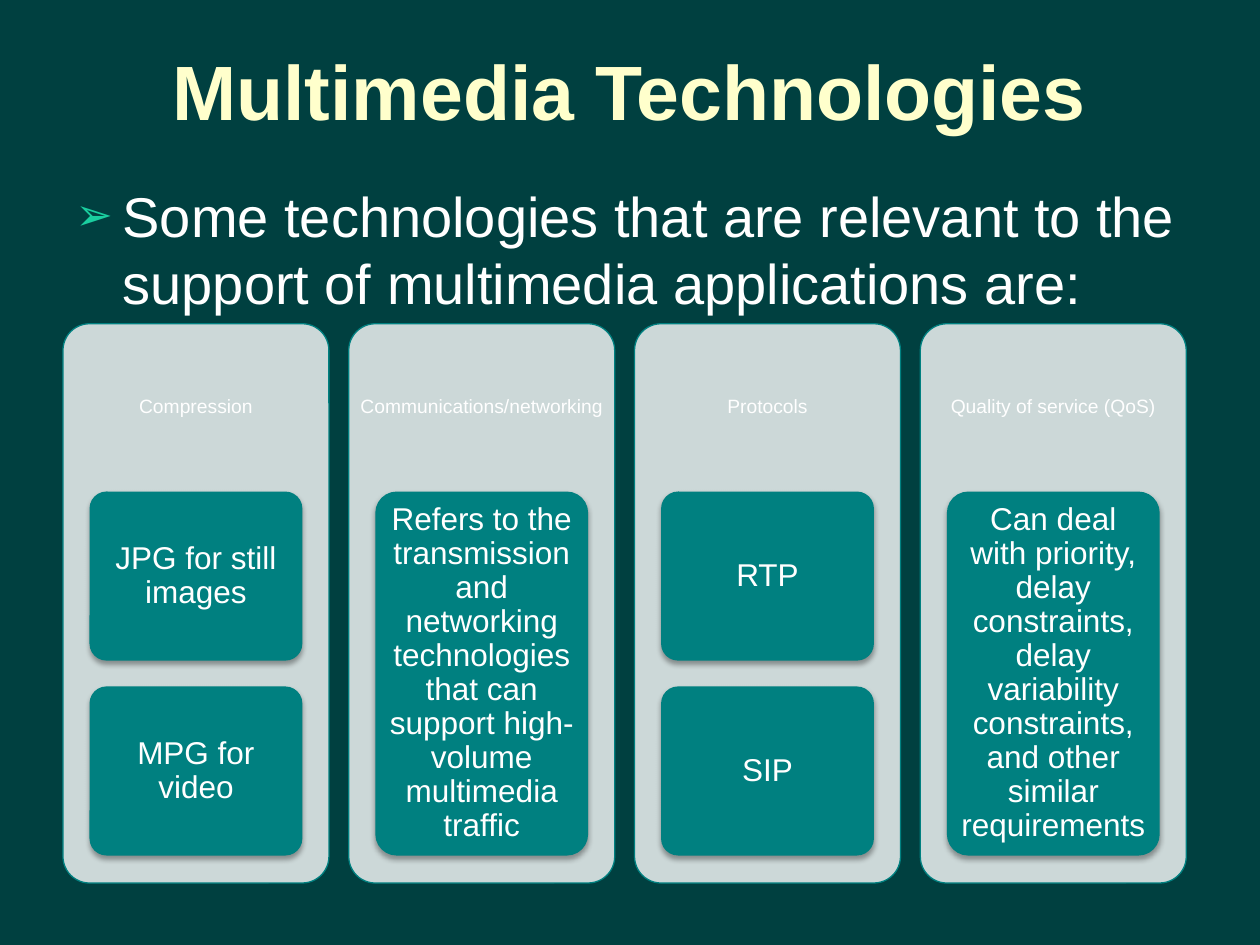
from dataclasses import dataclass

from lxml import etree
from pptx import Presentation
from pptx.dml.color import RGBColor
from pptx.enum.shapes import MSO_SHAPE
from pptx.enum.text import MSO_ANCHOR, PP_ALIGN
from pptx.oxml.ns import qn
from pptx.shapes.autoshape import Shape
from pptx.slide import Slide
from pptx.util import Pt

ROUND = MSO_SHAPE.ROUNDED_RECTANGLE
MIDDLE, TOP = MSO_ANCHOR.MIDDLE, MSO_ANCHOR.TOP
CENTER, LEFT = PP_ALIGN.CENTER, PP_ALIGN.LEFT
FONT = "Arial"
COLORS = {
    "back": "004040", "title": "FFFFCC", "text": "FFFFFF",
    "mark": "1ACE9F", "card": "CCD8D8", "teal": "008080", "shade": "000000",
}

# Column grid, in points
CARD_X, CARD_Y, CARD_W, CARD_H = 36, 185, 152, 319.6
STEP = 163.3
HEAD_H = 95.9
BOX_W, BOX_H = 121.6, 208
GAP = 14.8


@dataclass
class Area:
    x: float
    y: float
    w: float
    h: float

    def lengths(self) -> tuple:
        return Pt(self.x), Pt(self.y), Pt(self.w), Pt(self.h)


@dataclass
class Style:
    size: float
    color: str = "text"
    bold: bool = False
    align: PP_ALIGN = CENTER
    anchor: MSO_ANCHOR = MIDDLE
    space: float = 1.0
    inset: tuple = (7.2, 3.6)


@dataclass
class Column:
    head: str
    items: list


TITLE = Style(44, "title", bold=True)
BODY = Style(32, align=LEFT, anchor=TOP)
HEAD = Style(11, space=0.9, inset=(3.6, 3.6))
ITEM = Style(18, space=0.9, inset=(3.6, 2.9))

COLUMNS = [
    Column("Compression", ["JPG for still images", "MPG for video"]),
    Column("Communications/networking", [
        "Refers to the transmission and networking technologies "
        "that can support high-volume multimedia traffic"]),
    Column("Protocols", ["RTP", "SIP"]),
    Column("Quality of service (QoS)", [
        "Can deal with priority, delay constraints, delay variability "
        "constraints, and other similar requirements"]),
]


def tint(name: str) -> RGBColor:
    return RGBColor.from_string(COLORS[name])


def write(shape: Shape, text: str, style: Style) -> None:
    frame = shape.text_frame
    frame.word_wrap = True
    frame.vertical_anchor = style.anchor
    frame.margin_left = frame.margin_right = Pt(style.inset[0])
    frame.margin_top = frame.margin_bottom = Pt(style.inset[1])
    para = frame.paragraphs[0]
    para.alignment = style.align
    para.line_spacing = style.space
    run = para.add_run()
    run.text = text
    run.font.name = FONT
    run.font.size = Pt(style.size)
    run.font.bold = style.bold
    run.font.color.rgb = tint(style.color)


def label(slide: Slide, area: Area, text: str, style: Style) -> Shape:
    box = slide.shapes.add_textbox(*area.lengths())
    write(box, text, style)
    return box


def panel(slide: Slide, area: Area, fill: str) -> Shape:
    shape = slide.shapes.add_shape(ROUND, *area.lengths())
    shape.adjustments[0] = 0.1
    shape.shadow.inherit = False
    shape.fill.solid()
    shape.fill.fore_color.rgb = tint(fill)
    shape.line.fill.background()
    return shape


def shade(shape: Shape) -> None:
    effects = shape.element.spPr.find(qn("a:effectLst"))
    outer = etree.SubElement(
        effects, qn("a:outerShdw"), blurRad=str(Pt(3.1)), dist=str(Pt(1.8)),
        dir="5400000", rotWithShape="0")
    color = etree.SubElement(outer, qn("a:srgbClr"), val=COLORS["shade"])
    etree.SubElement(color, qn("a:alpha"), val="35000")


def bullet(shape: Shape, mark: str, indent: float) -> None:
    props = shape.text_frame.paragraphs[0]._p.get_or_add_pPr()
    props.set("marL", str(Pt(indent)))
    props.set("indent", str(-Pt(indent)))
    color = etree.SubElement(props, qn("a:buClr"))
    etree.SubElement(color, qn("a:srgbClr"), val=COLORS["mark"])
    etree.SubElement(props, qn("a:buSzPct"), val="80000")
    etree.SubElement(props, qn("a:buFont"), typeface=FONT)
    etree.SubElement(props, qn("a:buChar"), char=mark)


def draw(slide: Slide, column: Column, x: float) -> None:
    # Card and heading
    card = panel(slide, Area(x, CARD_Y, CARD_W, CARD_H), "card")
    card.line.color.rgb = tint("teal")
    card.line.width = Pt(0.75)
    label(slide, Area(x, CARD_Y, CARD_W, HEAD_H), column.head, HEAD)

    # Boxes share the height below the heading
    count = len(column.items)
    high = (BOX_H - GAP * (count - 1)) / count
    left = x + (CARD_W - BOX_W) / 2
    for row, text in enumerate(column.items):
        top = CARD_Y + HEAD_H + row * (high + GAP)
        box = panel(slide, Area(left, top, BOX_W, high), "teal")
        shade(box)
        write(box, text, ITEM)


def main() -> None:
    deck = Presentation()
    deck.slide_width, deck.slide_height = Pt(720), Pt(540)
    slide = deck.slides.add_slide(deck.slide_layouts[6])
    slide.background.fill.solid()
    slide.background.fill.fore_color.rgb = tint("back")

    # Title and lead sentence
    label(slide, Area(36, 6, 648, 90), "Multimedia Technologies", TITLE)
    lead = label(
        slide, Area(36, 100, 648, 78),
        "Some technologies that are relevant to the support of "
        "multimedia applications are:", BODY)
    bullet(lead, "➢", 27)

    # Technology columns
    for place, column in enumerate(COLUMNS):
        draw(slide, column, CARD_X + place * STEP)

    deck.save("out.pptx")


if __name__ == "__main__":
    main()
